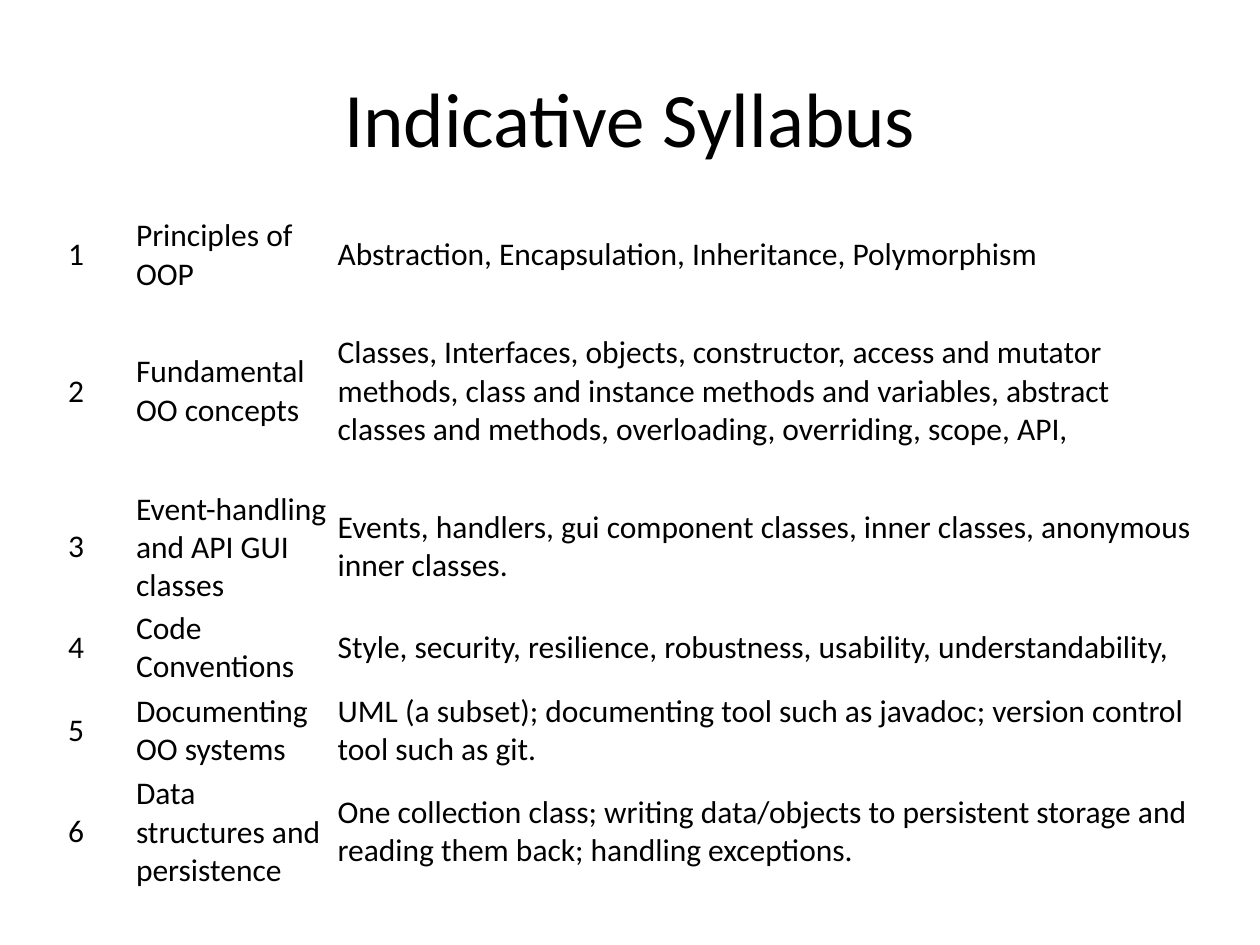
"""Build the Indicative Syllabus slide."""
from pptx import Presentation
from pptx.dml.color import RGBColor
from pptx.enum.text import MSO_ANCHOR, PP_ALIGN
from pptx.util import Inches, Pt

TITLE = "Indicative Syllabus"
TOPICS = [
    ("Principles of OOP", "Abstraction, Encapsulation, Inheritance, Polymorphism"),
    ("Fundamental OO concepts",
     "Classes, Interfaces, objects, constructor, access and mutator methods, "
     "class and instance methods and variables, abstract classes and methods, "
     "overloading, overriding, scope, API,"),
    ("Event-handling and API GUI classes",
     "Events, handlers, gui component classes, inner classes, anonymous inner classes."),
    ("Code Conventions",
     "Style, security, resilience, robustness, usability, understandability,"),
    ("Documenting OO systems",
     "UML (a subset); documenting tool such as javadoc; version control tool such as git."),
    ("Data structures and persistence",
     "One collection class; writing data/objects to persistent storage and "
     "reading them back; handling exceptions."),
]
COLUMN_WIDTHS = [0.54, 1.6, 6.86]
ROW_HEIGHTS = [0.54, 1.53, 0.66, 0.66, 0.66, 0.91]
TABLE_HEIGHT = 5.67
LEFT, WIDTH = 0.5, 9


def color(value):
    return RGBColor.from_string(value)


def style_paragraph(paragraph, size, alignment):
    paragraph.alignment = alignment
    paragraph.font.name = "Calibri"
    paragraph.font.size = Pt(size)
    paragraph.font.color.rgb = color("000000")


def add_title(slide):
    shape = slide.shapes.add_textbox(Inches(LEFT), Inches(0.3), Inches(WIDTH), Inches(1.25))
    frame = shape.text_frame
    frame.word_wrap = True
    frame.vertical_anchor = MSO_ANCHOR.MIDDLE
    frame.text = TITLE
    style_paragraph(frame.paragraphs[0], 44, PP_ALIGN.CENTER)


def fill_cell(cell, text):
    cell.fill.background()
    cell.vertical_anchor = MSO_ANCHOR.MIDDLE
    cell.margin_left = cell.margin_right = Inches(0.04)
    cell.margin_top = cell.margin_bottom = Inches(0.02)
    cell.text = text
    style_paragraph(cell.text_frame.paragraphs[0], 18, PP_ALIGN.LEFT)


def add_syllabus(slide):
    shape = slide.shapes.add_table(
        len(TOPICS), len(COLUMN_WIDTHS),
        Inches(LEFT), Inches(1.7), Inches(WIDTH), Inches(TABLE_HEIGHT))
    table = shape.table
    table.first_row = table.horz_banding = False
    for column, width in zip(table.columns, COLUMN_WIDTHS):
        column.width = Inches(width)
    for row, height in zip(table.rows, ROW_HEIGHTS):
        row.height = Inches(height)
    shape.height = Inches(TABLE_HEIGHT)
    for number, (row, topic) in enumerate(zip(table.rows, TOPICS), start=1):
        for cell, text in zip(row.cells, (str(number), *topic)):
            fill_cell(cell, text)


def main():
    presentation = Presentation()
    presentation.slide_width, presentation.slide_height = Inches(10), Inches(7.5)
    slide = presentation.slides.add_slide(presentation.slide_layouts[6])
    slide.background.fill.solid()
    slide.background.fill.fore_color.rgb = color("FFFFFF")
    add_title(slide)
    add_syllabus(slide)
    presentation.save("out.pptx")


if __name__ == "__main__":
    main()
